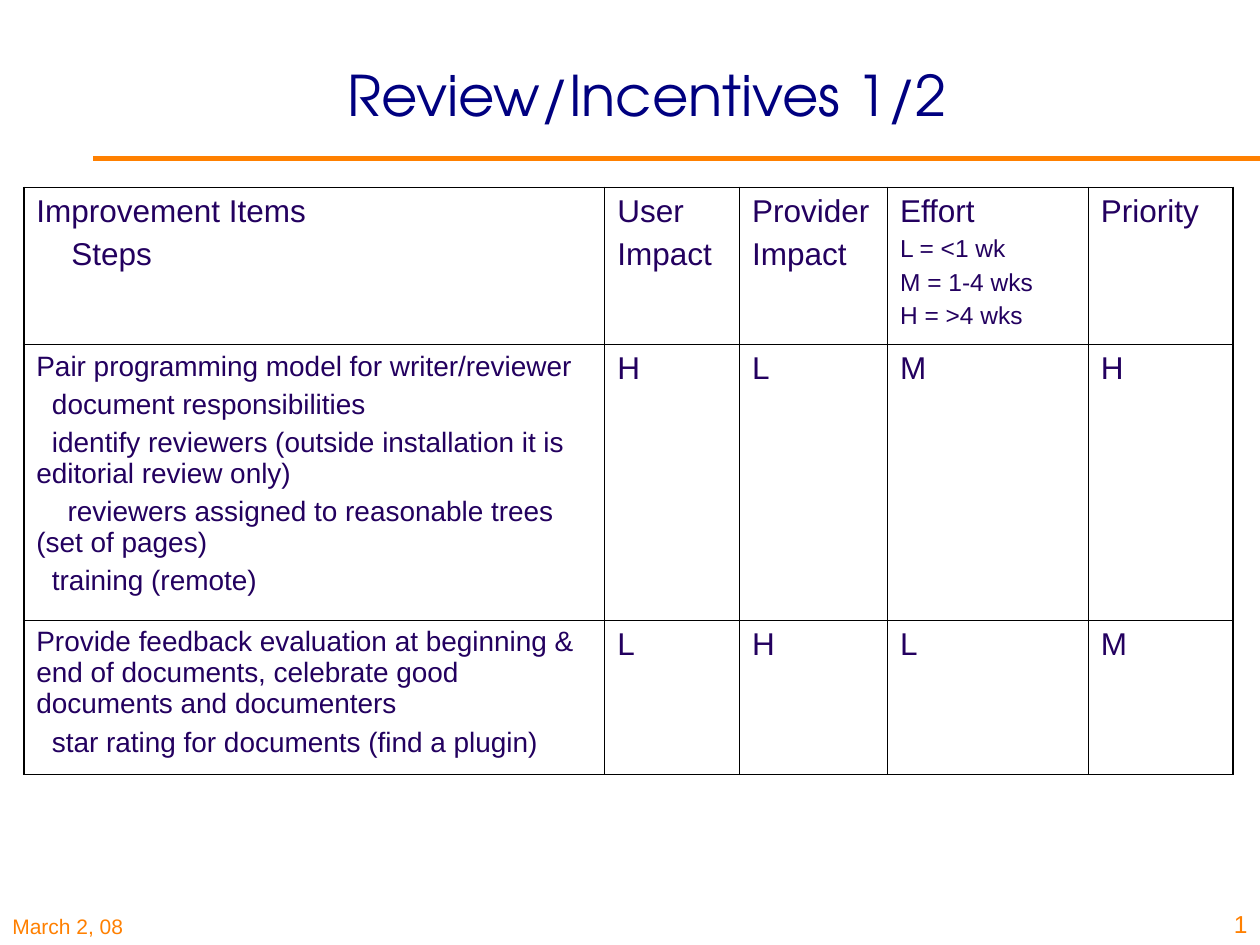
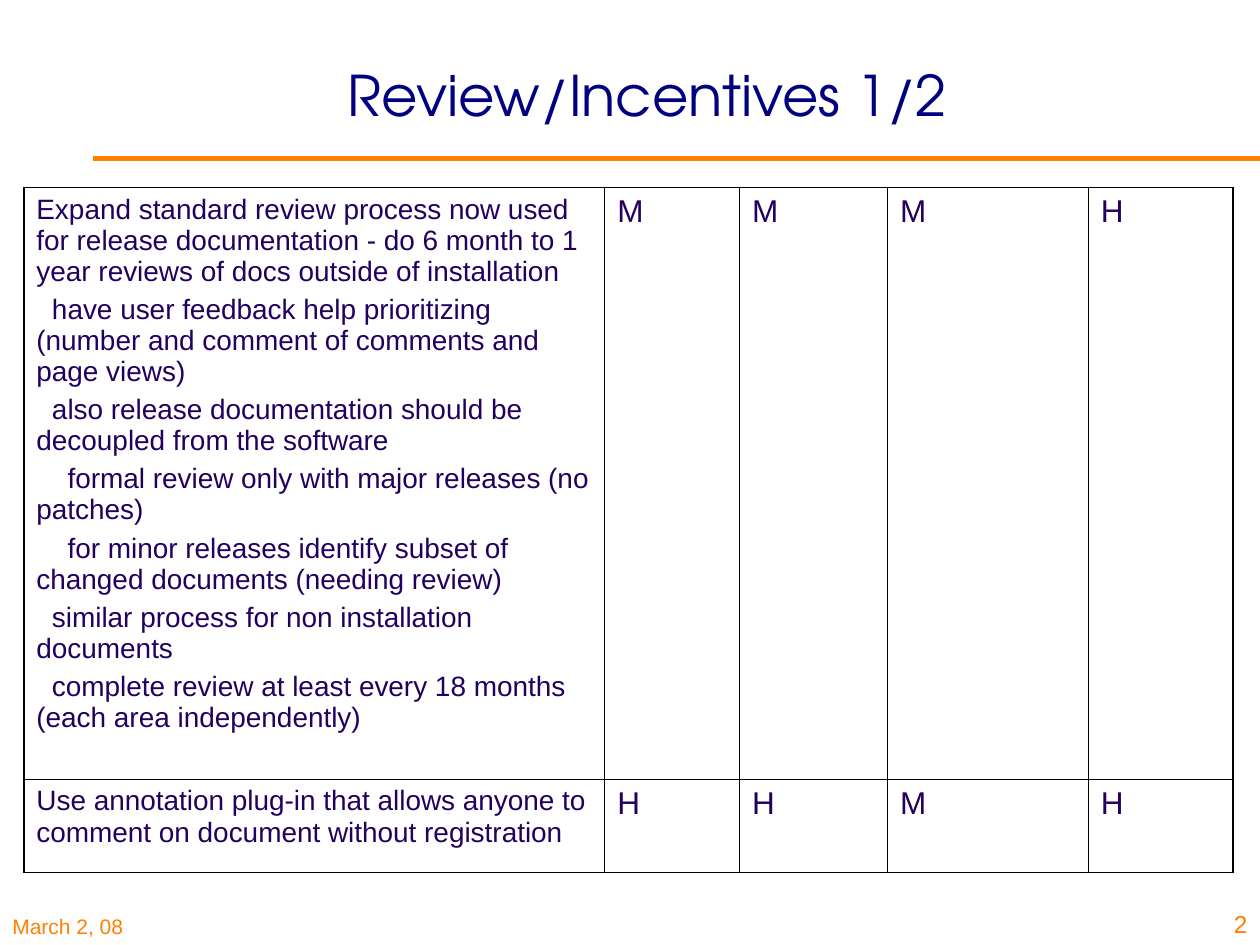
from lxml import etree
from pptx import Presentation
from pptx.dml.color import RGBColor
from pptx.enum.shapes import MSO_CONNECTOR
from pptx.enum.text import MSO_ANCHOR, MSO_AUTO_SIZE, PP_ALIGN
from pptx.oxml.ns import qn
from pptx.util import Cm, Pt

LEFT, CENTER, RIGHT = PP_ALIGN.LEFT, PP_ALIGN.CENTER, PP_ALIGN.RIGHT
TOP, MIDDLE, BOTTOM = MSO_ANCHOR.TOP, MSO_ANCHOR.MIDDLE, MSO_ANCHOR.BOTTOM
STRAIGHT = MSO_CONNECTOR.STRAIGHT
NO_FIT = MSO_AUTO_SIZE.NONE

# Shared look
NAVY, INK, ORANGE, BLACK = "000080", "23005F", "FF8000", "000000"
BODY, HEAD = "Arial", "TeX Gyre Adventor"
THIN, THICK = 0.45, 1.08
BIG, MID, SMALL = 18, 16, 14
STEP = 0.556  # first-line indent per level, as a share of the text size
COLS = [11.71, 2.72, 2.98, 4.05, 2.92]

# Content: a line is (text, size, level)
TITLE = "Review/Incentives 1/2"
DATE = "March 2, 08"
HEADING = [
    [("Improvement Items", BIG, 0), ("Steps", BIG, 2)],
    [("User", BIG, 0), ("Impact", BIG, 0)],
    [("Provider", BIG, 0), ("Impact", BIG, 0)],
    [("Effort", BIG, 0), ("L = <1 wk", SMALL, 0),
     ("M = 1-4 wks", SMALL, 0), ("H = >4 wks", SMALL, 0)],
    [("Priority", BIG, 0)],
]


def item(marks, *steps):
    """One table row: steps of (level, text), then a mark per column."""
    return [[(text, MID, level) for level, text in steps],
            *[[(mark, BIG, 0)] for mark in marks]]


PAIR = item(
    "HLMH",
    (0, "Pair programming model for writer/reviewer"),
    (1, "document responsibilities"),
    (1, "identify reviewers (outside installation it is editorial review only)"),
    (2, "reviewers assigned to reasonable trees (set of pages)"),
    (1, "training (remote)"))
PRAISE = item(
    "LHLM",
    (0, "Provide feedback evaluation at beginning & end of documents, "
        "celebrate good documents and documenters"),
    (1, "star rating for documents (find a plugin)"))
EXPAND = item(
    "MMMH",
    (0, "Expand standard review process now used for release documentation "
        "- do 6 month to 1 year reviews of docs outside of installation"),
    (1, "have user feedback help prioritizing "
        "(number and comment of comments and page views)"),
    (1, "also release documentation should be decoupled from the software"),
    (2, "formal review only with major releases (no patches)"),
    (2, "for minor releases identify subset of changed documents (needing review)"),
    (1, "similar process for non installation documents"),
    (1, "complete review at least every 18 months (each area independently)"))
NOTES = item(
    "HHMH",
    (0, "Use annotation plug-in that allows anyone to comment on document "
        "without registration"))


def tint(code):
    return RGBColor.from_string(code)


def write(para, text, size=BIG, font=BODY, color=INK, align=LEFT,
          before=0, level=0):
    para.alignment = align
    para.space_before = Pt(before)
    if level:
        props = para._p.get_or_add_pPr()
        props.set("marL", "0")
        props.set("indent", str(Pt(size * STEP * level)))
    run = para.add_run()
    run.text = text
    run.font.size = Pt(size)
    run.font.name = font
    run.font.bold = False
    run.font.color.rgb = tint(color)


def place(shape, left, top, width, height):
    shape.left, shape.top = Cm(left), Cm(top)
    shape.width, shape.height = Cm(width), Cm(height)


def add_title(slide, text):
    shape = slide.shapes.title
    place(shape, 3.4, 0.3, 19.3, 3.18)
    frame = shape.text_frame
    frame.auto_size = NO_FIT
    frame.vertical_anchor = MIDDLE
    write(frame.paragraphs[0], text, size=32, font=HEAD, color=NAVY,
          align=CENTER)


def add_note(slide, box, text, **form):
    frame = slide.shapes.add_textbox(*map(Cm, box)).text_frame
    frame.word_wrap = True
    frame.vertical_anchor = BOTTOM
    write(frame.paragraphs[0], text, color=ORANGE, **form)


def add_rule(slide):
    rule = slide.shapes.add_connector(
        STRAIGHT, Cm(1.88), Cm(3.2), Cm(25.4), Cm(3.2))
    rule.line.color.rgb = tint(ORANGE)
    rule.line.width = Pt(3)
    etree.SubElement(rule._element.spPr, qn("a:effectLst"))


def edge(cell, side, width):
    props = cell._tc.get_or_add_tcPr()
    line = etree.SubElement(props, qn("a:ln" + side), w=str(Pt(width)))
    fill = etree.SubElement(line, qn("a:solidFill"))
    etree.SubElement(fill, qn("a:srgbClr"), val=BLACK)


def fill_cell(cell, lines, sides):
    cell.vertical_anchor = TOP
    for side, width in sides.items():
        edge(cell, side, width)
    cell.fill.background()
    frame = cell.text_frame
    for n, (text, size, level) in enumerate(lines):
        para = frame.add_paragraph() if n else frame.paragraphs[0]
        write(para, text, size=size, level=level, before=size / 4 if n else 0)


def add_grid(slide, rows, highs):
    table = slide.shapes.add_table(
        len(rows), len(COLS), Cm(0.48), Cm(3.78),
        Cm(sum(COLS)), Cm(sum(highs))).table
    table.first_row = table.horz_banding = False
    for col, width in zip(table.columns, COLS):
        col.width = Cm(width)
    for r, (row, high) in enumerate(zip(rows, highs)):
        table.rows[r].height = Cm(high)
        for c, lines in enumerate(row):
            sides = {
                "L": THIN if c else THICK,
                "R": THICK if c == len(COLS) - 1 else THIN,
                "T": THICK if row is HEADING else THIN,
                "B": THIN,
            }
            fill_cell(table.cell(r, c), lines, sides)


def add_page(deck, number, rows, highs):
    slide = deck.slides.add_slide(deck.slide_layouts[5])
    # Date, rule and page number
    add_note(slide, (0, 17.98, 6.3, 1.07), DATE, size=12)
    add_rule(slide)
    add_note(slide, (24.23, 17.78, 1.17, 1.27), str(number), size=14,
             align=RIGHT)
    # Title and table
    add_title(slide, TITLE)
    add_grid(slide, rows, highs)


def main():
    deck = Presentation()
    deck.slide_width, deck.slide_height = Cm(25.4), Cm(19.05)
    add_page(deck, 1, [HEADING, PAIR, PRAISE], [3.15, 5.54, 3.1])
    add_page(deck, 2, [EXPAND, NOTES], [11.91, 1.88])
    deck.save("out.pptx")


if __name__ == "__main__":
    main()
